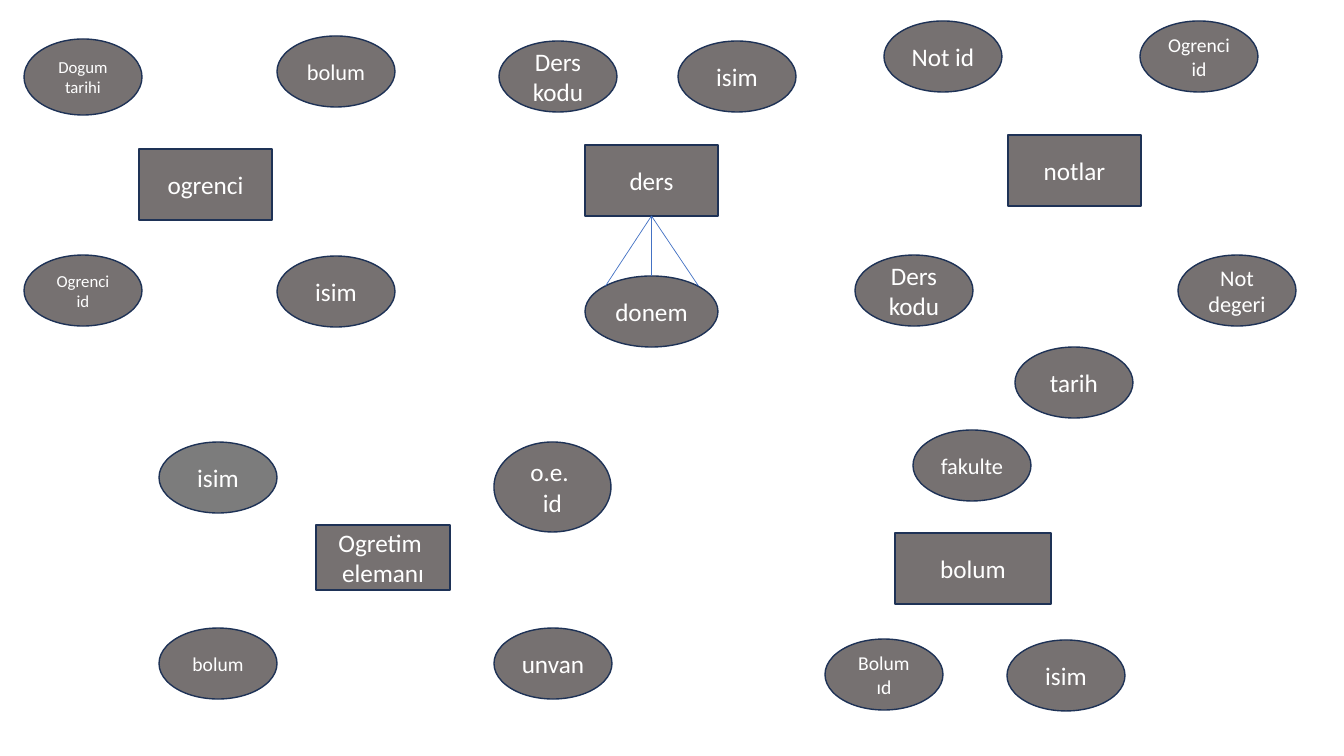
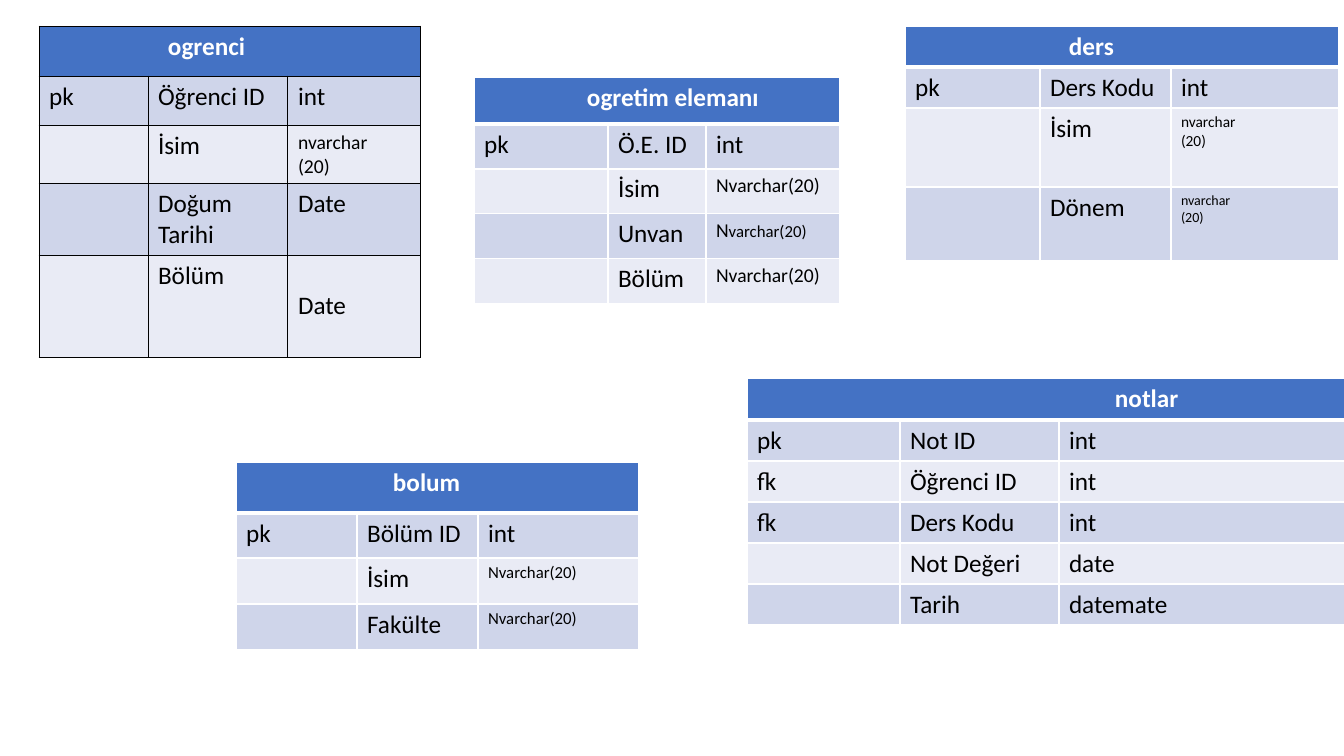
from itertools import accumulate

from lxml import etree
from pptx import Presentation
from pptx import util as u
from pptx.dml.color import RGBColor
from pptx.enum import shapes, text
from pptx.oxml import ns

PX = 914400 / 100.8
FONT = "Calibri"
COLORS = {
    "node": "767171", "node_light": "7C7C7C", "node_line": "1E3256",
    "link": "4472C4", "header": "4472C4", "band_dark": "CFD5EA",
    "band_light": "E9EBF5", "white": "FFFFFF", "black": "000000",
}
ENTITY, ATTRIBUTE = (133, 71), (118, 71)
RECT, OVAL = shapes.MSO_SHAPE.RECTANGLE, shapes.MSO_SHAPE.OVAL

# name, offset in the group, size, font size, fill
DIAGRAMS = [
    ((24, 36), ("ogrenci", (115, 113), ENTITY), [
        ("Dogum tarihi", (0, 3), (118, 76), 12),
        ("bolum", (253, 0), ATTRIBUTE, 16),
        ("isim", (253, 220), ATTRIBUTE, 18),
        ("Ogrenci id", (0, 219), ATTRIBUTE, 12)]),
    ((159, 442), ("Ogretim \nelemanı", (157, 83), (134, 65)), [
        ("isim", (0, 0), ATTRIBUTE, 18, "node_light"),
        ("o.e. \nid", (335, 0), (117, 90), 18),
        ("bolum", (0, 186), ATTRIBUTE, 14),
        ("unvan", (335, 186), ATTRIBUTE, 18)]),
    ((825, 430), ("bolum", (70, 103), (156, 71)), [
        ("fakulte", (88, 0), ATTRIBUTE, 16),
        ("Bolum ıd", (0, 209), ATTRIBUTE, 14),
        ("isim", (182, 210), ATTRIBUTE, 18)]),
    ((855, 21), ("notlar", (153, 114), ENTITY), [
        ("Not id", (29, 0), ATTRIBUTE, 18),
        ("Ogrenci\vid", (285, 0), ATTRIBUTE, 14),
        ("Ders kodu", (0, 234), ATTRIBUTE, 18),
        ("Not degeri", (323, 234), ATTRIBUTE, 16),
        ("tarih", (160, 326), ATTRIBUTE, 18)]),
    ((499, 41), ("ders", (86, 104), ENTITY), [
        ("Ders kodu", (0, 0), ATTRIBUTE, 18),
        ("isim", (179, 0), ATTRIBUTE, 18),
        ("donem", (86, 235), ENTITY, 18)]),
]


def px(length):
    """Turn pixels into EMU."""
    return u.Emu(round(length * PX))


def rgb(name):
    """Look up a named colour."""
    return RGBColor.from_string(COLORS[name])


def style_text(frame, size, color, bold=False):
    """Format every run of a text frame."""
    for para in frame.paragraphs:
        for span in para.runs:
            span.font.name, span.font.size = FONT, u.Pt(size)
            span.font.bold = bold
            span.font.color.rgb = rgb(color)


def add_node(page, kind, origin, label, offset, size, points=18, fill="node"):
    """Draw one labelled entity or attribute of a diagram."""
    left, top = origin[0] + offset[0], origin[1] + offset[1]
    node = page.shapes.add_shape(kind, px(left), px(top), *map(px, size))
    node.shadow.inherit = False
    node.fill.solid()
    node.fill.fore_color.rgb = rgb(fill)
    node.line.color.rgb, node.line.width = rgb("node_line"), u.Pt(1)
    frame = node.text_frame
    frame.text, frame.word_wrap = label, True
    frame.vertical_anchor = text.MSO_ANCHOR.MIDDLE
    for para in frame.paragraphs:
        para.alignment = text.PP_ALIGN.CENTER
    style_text(frame, points, "white")
    return node


def add_diagram(page, origin, entity, attributes):
    """Draw an entity with its attributes and return all nodes."""
    return [add_node(page, RECT, origin, *entity)] + [
        add_node(page, OVAL, origin, *attribute) for attribute in attributes]


def add_links(page, entity, attribute):
    """Fan three lines from an attribute's upper edge to its entity."""
    middle = attribute.left + attribute.width // 2
    for shift, drop in ((0, 0), (-46, 10), (47, 10)):
        link = page.shapes.add_connector(
            shapes.MSO_CONNECTOR.STRAIGHT, middle + px(shift),
            attribute.top + px(drop), middle, entity.top + entity.height)
        if not shift:
            link.begin_connect(attribute, 0)
        link.end_connect(entity, 2)
        link.line.color.rgb, link.line.width = rgb("link"), u.Pt(0.5)
        etree.SubElement(link.element.spPr, ns.qn("a:effectLst"))


def set_borders(cell, color, widths):
    """Give a cell its left, right, top and bottom borders."""
    props = cell._tc.get_or_add_tcPr()
    for side, width in zip("LRTB", widths):
        line = etree.SubElement(props, ns.qn(f"a:ln{side}"), w=str(u.Pt(width)))
        fill = etree.SubElement(line, ns.qn("a:solidFill"))
        etree.SubElement(fill, ns.qn("a:srgbClr"), val=COLORS[color])


def add_table(page, origin, columns, heights, title, indent, rows,
              border="white", thin=1, thick=3):
    """Draw a table with an indented title row over banded rows."""
    frame = page.shapes.add_table(
        len(heights), len(columns), *map(px, origin),
        px(sum(columns)), px(sum(heights)))
    table = frame.table
    table.first_row = table.horz_banding = False
    for column, width in zip(table.columns, columns):
        column.width = px(width)
    for row, height in zip(table.rows, heights):
        row.height = px(height)
    for r, values in enumerate([(title, "", "")] + rows):
        fill = "header" if r == 0 else ("band_light", "band_dark")[r % 2]
        widths = (thin, thin, thick if r == 1 else thin, thick if r == 0 else thin)
        for c, value in enumerate(values):
            label, size = value if isinstance(value, tuple) else (value, 18)
            cell = table.cell(r, c)
            set_borders(cell, border, widths)
            cell.fill.solid()
            cell.fill.fore_color.rgb = rgb(fill)
            if label:
                cell.text_frame.text = label
                style_text(cell.text_frame, size,
                           "black" if r else "white", bold=r == 0)
    header = table.cell(0, 0)
    header.merge(table.cell(0, len(columns) - 1))
    header.margin_left, header.margin_right = px(indent), 0
    return table


def build_diagram_page(page):
    """Place the entity diagrams."""
    for origin, entity, attributes in DIAGRAMS:
        nodes = add_diagram(page, origin, entity, attributes)
    add_links(page, nodes[0], nodes[-1])


def build_table_page(page):
    """Place the five database tables."""
    student = add_table(
        page, (39, 26), (109, 140, 121), (50, 50, 58, 72, 102), "ogrenci", 129,
        [("pk", "Öğrenci\u00a0ID".replace("\u00a0", " "), "int"),
         ("", "İsim", ("nvarchar\n(20)", 14)),
         ("", "Doğum Tarihi", "Date"),
         ("", "Bölüm", "Date")], "black", 0.75, 0.75)
    student.cell(4, 2).margin_top = px(35)

    teacher = add_table(
        page, (474, 77), (134, 98, 134), (47, 45, 45, 45, 45),
        "ogretim elemanı", 113,
        [("pk", "Ö.E. ID", "int"),
         ("", "İsim", ("Nvarchar(20)", 14)),
         ("", "Unvan", ("N", 14)),
         ("", "Bölüm", ("Nvarchar(20)", 14))])
    span = teacher.cell(3, 2).text_frame.paragraphs[0].add_run()
    span.text = "varchar(20)"
    span.font.name, span.font.size = FONT, u.Pt(12)
    span.font.color.rgb = rgb("black")

    add_table(
        page, (905, 26), (135, 131, 135), (41, 41, 79, 74), "ders", 164,
        [("pk", "Ders Kodu", "int"),
         ("", "İsim", ("nvarchar\n(20)", 11)),
         ("", "Dönem", ("nvarchar\n(20)", 10))])
    add_table(
        page, (236, 462), (121, 121, 121), (51, 45, 46, 46), "bolum", 157,
        [("pk", "Bölüm ID", "int"),
         ("", "İsim", ("Nvarchar(20)", 12)),
         ("", "Fakülte", ("Nvarchar(20)", 12))])
    add_table(
        page, (747, 378), (153, 159, 131), (42, 41, 41, 41, 41, 41),
        "notlar", 368,
        [("pk", "Not ID", "int"),
         ("fk", "Öğrenci ID", "int"),
         ("fk", "Ders Kodu", "int"),
         ("", "Not Değeri", "date"),
         ("", "Tarih", "datemate")])


def main():
    """Build and save the deck."""
    deck = Presentation()
    deck.slide_width, deck.slide_height = px(1344), px(756)
    for build in (build_diagram_page, build_table_page):
        build(deck.slides.add_slide(deck.slide_layouts[6]))
    deck.save("out.pptx")


if __name__ == "__main__":
    main()
